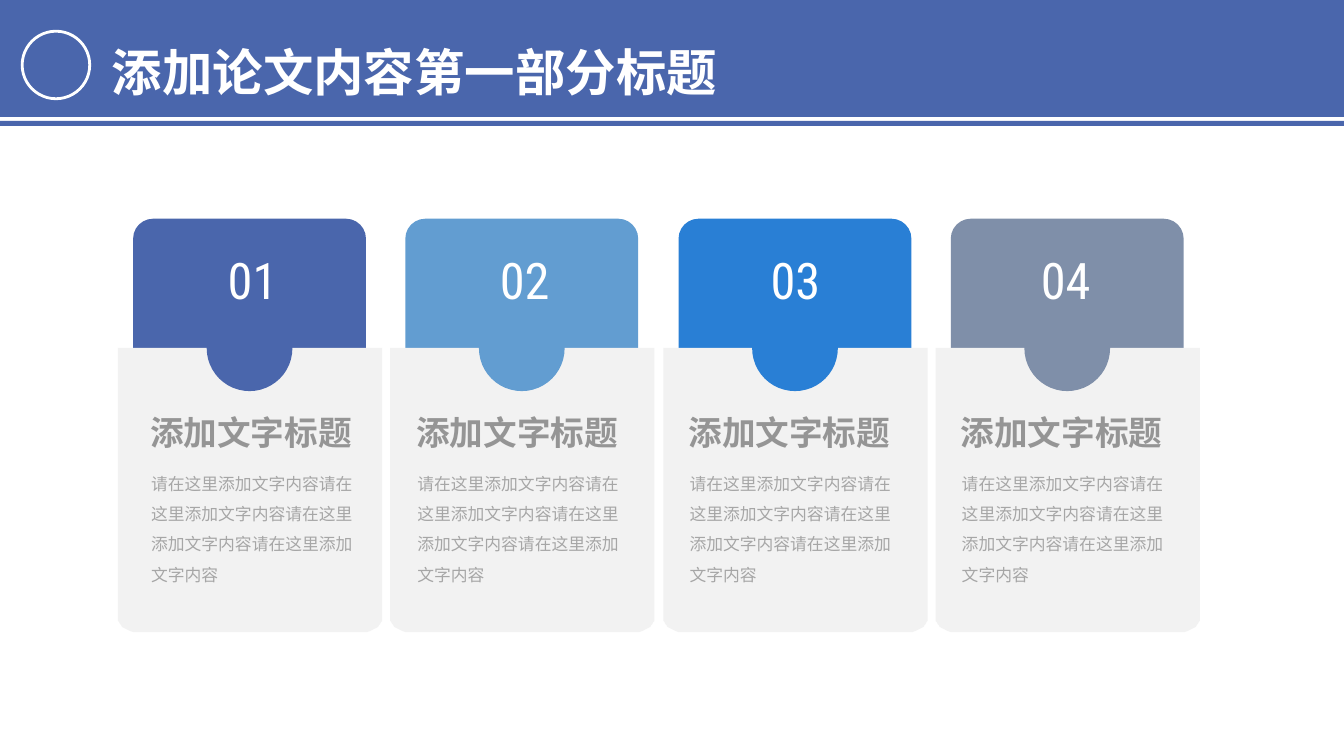
from dataclasses import dataclass
from math import cos, pi, sin

from lxml.etree import SubElement
from pptx import Presentation
from pptx.dml.color import RGBColor
from pptx.enum.shapes import MSO_SHAPE as Kind
from pptx.enum.text import MSO_ANCHOR as Anchor, MSO_AUTO_SIZE as Fit, PP_ALIGN as Align
from pptx.oxml.ns import qn
from pptx.util import Pt

PX = 9144


@dataclass(frozen=True)
class Theme:
    main: str = "4A66AC"
    white: str = "FFFFFF"
    panel: str = "F2F2F2"
    head: str = "959595"
    body: str = "A6A6A6"
    cjk: str = "Noto Sans CJK SC"
    latin: str = "Roboto Condensed"
    big: int = 36
    mid: int = 24
    small: int = 12


T = Theme()
TITLE = "添加论文内容第一部分标题"
HEAD = "添加文字标题"
BODY = "请在这里添加文字内容" * 4
CARDS = [
    (T.main, 191, 119, 139),
    ("629DD1", 457, 127, 403),
    ("297FD5", 720, 138, 673),
    ("7F8FA9", 995, 124, 943),
]


def px(*vals):
    return [v * PX for v in vals]


def paint(shape, color, line=None):
    shape.shadow.inherit = False
    shape.fill.solid()
    shape.fill.fore_color.rgb = RGBColor.from_string(color)
    if line:
        shape.line.color.rgb = RGBColor.from_string(line)
        shape.line.width = Pt(2)
    else:
        shape.line.fill.background()


def draw(slide, kind, box, color, line=None):
    shape = slide.shapes.add_shape(kind, *px(*box))
    paint(shape, color, line)
    return shape


def write(shape, text, size, color, font=T.cjk, bold=False, align=Align.LEFT,
          anchor=Anchor.TOP, space=1.0, before=0, pad=(10, 5)):
    frame = shape.text_frame
    frame.word_wrap = True
    frame.auto_size = Fit.NONE
    frame.vertical_anchor = anchor
    frame.margin_left = frame.margin_right = pad[0] * PX
    frame.margin_top = frame.margin_bottom = pad[1] * PX
    para = frame.paragraphs[0]
    para.alignment = align
    para.line_spacing = space
    para.space_before = Pt(before)
    run = para.add_run()
    run.text = text
    run.font.size = Pt(size)
    run.font.bold = bold
    run.font.name = font
    run.font.color.rgb = RGBColor.from_string(color)
    SubElement(run.font._element, qn("a:ea")).set("typeface", font)


def label(slide, box, text, size, color, **form):
    write(slide.shapes.add_textbox(*px(*box)), text, size, color, **form)


def panel(slide, left, top, wide, high):
    rx, ry, steps = 20, 13, 12
    right, base = left + wide, top + high
    turns = [pi / 2 * i / steps for i in range(steps + 1)]
    east = [(right - rx + rx * cos(a), base - ry + ry * sin(a)) for a in turns]
    west = [(left + rx - rx * sin(a), base - ry + ry * cos(a)) for a in turns]
    form = slide.shapes.build_freeform(left, top, scale=PX)
    form.add_line_segments([(right, top)] + east + west, close=True)
    paint(form.convert_to_shape(), T.panel)


def card(slide, index, color, num, wide, text):
    left = 117 + round(index * 811 / 3)
    tab = draw(slide, Kind.ROUNDED_RECTANGLE, (left + 15, 217, 231, 213), color)
    tab.adjustments[0] = 0.093
    panel(slide, left, 345, 262, 282)
    draw(slide, Kind.OVAL, (left + 88, 303, 85, 85), color)
    label(slide, (num, 243, wide, 88), f"{index + 1:02d}", T.big, T.white,
          font=T.latin, align=Align.CENTER, pad=(7, 4))
    label(slide, (text + 1, 455, 221, 87), BODY, T.small, T.body,
          space=1.5, before=2.4)
    label(slide, (text, 400, 233, 58), HEAD, T.mid, T.head,
          bold=True, anchor=Anchor.MIDDLE)


def header(slide):
    for top, high in ((0, 116), (120, 5)):
        draw(slide, Kind.RECTANGLE, (0, top, 1333, high), T.main)
    draw(slide, Kind.OVAL, (22, 31, 67, 67), T.main, T.white)
    title = slide.shapes.title
    title.left, title.top, title.width, title.height = px(101, 6, 624, 101)
    write(title, TITLE, T.big, T.white, bold=True, space=1.5)
    title.element.getparent().append(title.element)


def main():
    deck = Presentation()
    deck.slide_width, deck.slide_height = px(1333, 750)
    slide = deck.slides.add_slide(deck.slide_layouts[5])
    header(slide)
    for index, data in enumerate(CARDS):
        card(slide, index, *data)
    deck.save("out.pptx")


if __name__ == "__main__":
    main()
